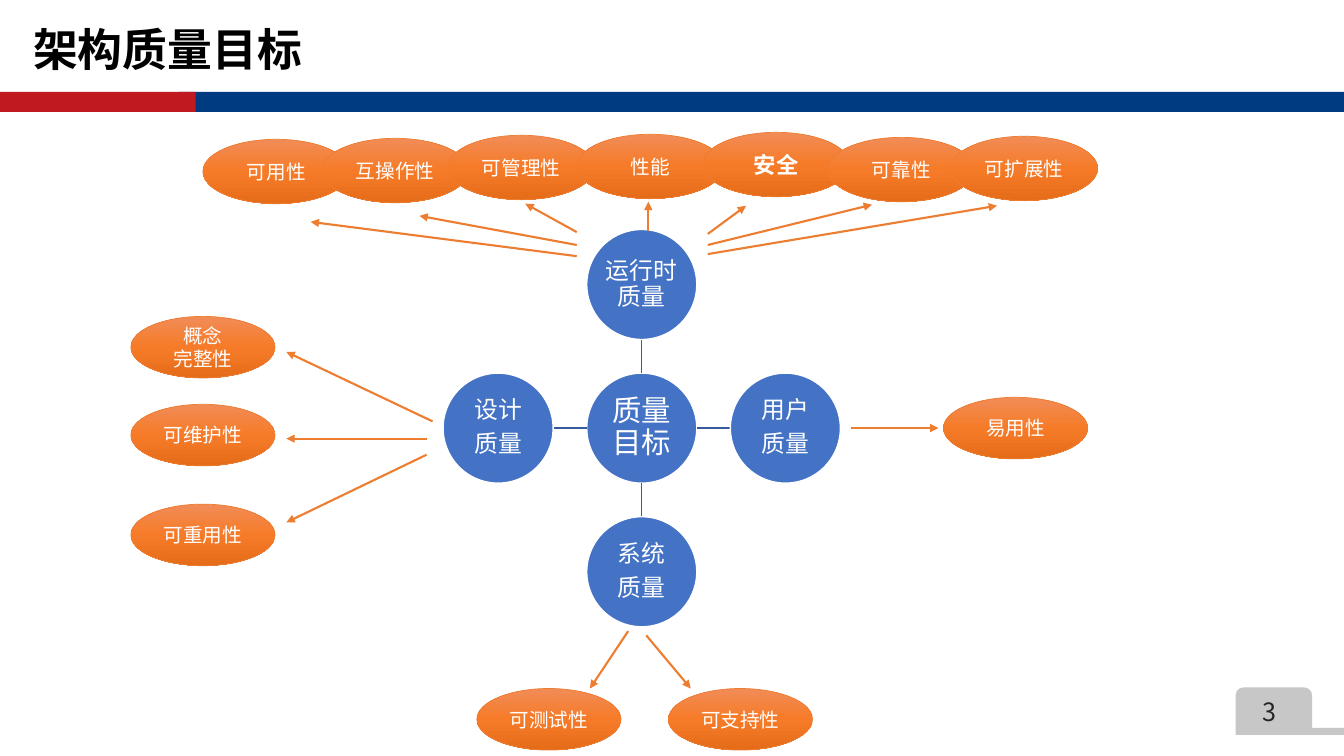
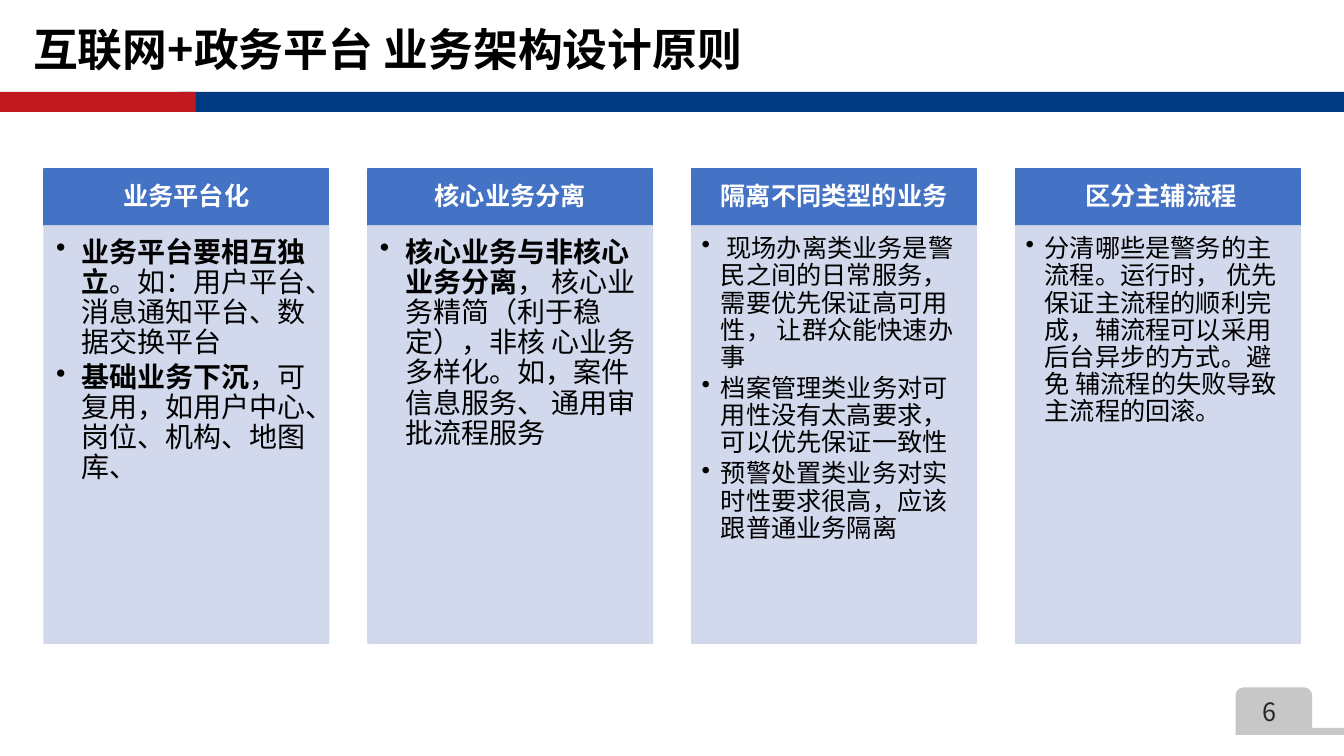
from copy import deepcopy

from pptx import Presentation
from pptx.dml.color import RGBColor
from pptx.enum.shapes import MSO_CONNECTOR, MSO_SHAPE
from pptx.enum.text import MSO_ANCHOR, PP_ALIGN
from pptx.oxml.ns import qn
from pptx.oxml.xmlchemy import OxmlElement
from pptx.util import Pt

RECT, ROUND, OVAL = MSO_SHAPE.RECTANGLE, MSO_SHAPE.ROUNDED_RECTANGLE, MSO_SHAPE.OVAL
STRAIGHT = MSO_CONNECTOR.STRAIGHT
LEFT, MID = PP_ALIGN.LEFT, PP_ALIGN.CENTER
TOP, CENTER = MSO_ANCHOR.TOP, MSO_ANCHOR.MIDDLE

FONT = "Noto Sans CJK SC"
WIDE, HIGH = 960, 540
WHITE, BLACK, DARK = "FFFFFF", "000000", "262626"
NAVY, RED, GREY = "003B82", "C0191F", "C7C7C7"
BLUE, STEEL, PALE, ORANGE = "4472C4", "365B9D", "CFD5EA", "ED7D31"
GLOW = ((0, "F18C57"), (0.5, "F67B28"), (1, "E56C19"))
INSET = (7.2, 3.6, 7.2, 3.6)

# Offsets from the centre of the map
DISC, STEP = 78.6, 102.6
HUBS = [
    ("质量目标", 0, 0, 21),
    ("运行时质量", 0, -1, 17),
    ("用户\n质量", 1, 0, 17),
    ("系统\n质量", 0, 1, 17),
    ("设计\n质量", -1, 0, 17),
]
SMALL, LARGE = (103, 44), (105, 46)
LEAVES = [
    ("可测试性", -66.3, 208, SMALL),
    ("可支持性", 70.5, 208, SMALL),
    ("概念\n完整性", -313.4, -57.8, SMALL),
    ("可维护性", -313.4, 5, SMALL),
    ("可重用性", -313.4, 76.3, SMALL),
    ("易用性", 267, 0, SMALL),
    ("可用性", -261, -183.3, LARGE),
    ("互操作性", -176.1, -184, LARGE),
    ("可管理性", -86.1, -186.2, LARGE),
    ("性能", 6.1, -186.9, LARGE),
    ("安全", 96.1, -188.3, LARGE),
    ("可靠性", 185.4, -184.7, LARGE),
    ("可扩展性", 273.2, -185.5, LARGE),
]
STRONG = "安全"
ARROWS = [
    (-149.4, -4.8, -253.8, -54.4),
    (-153.7, 7.5, -253.8, 7.5),
    (-153.7, 19, -253.8, 67.3),
    (-9.7, 145, -37, 186),
    (3.2, 148, 35, 186),
    (149.4, 0, 212, 0),
    (-46.4, -140, -83.2, -160.3),
    (-46.4, -130.8, -158.8, -151.6),
    (-46.4, -122.8, -236.5, -147.3),
    (47.2, -138.7, 74.5, -158.8),
    (47.2, -130.8, 164.5, -159.6),
    (47.2, -124.3, 253.8, -158.8),
    (4.7, -140.8, 4.7, -161.7),
]

# Heading, text size, indent, insets, paragraphs as (bold part, plain part)
LOOSE = (20, 18, (8.6, 8.6, 11.5, 12.2))
TIGHT = (18, 13.7, (7.2, 7.2, 10.1, 11.5))
RULES = [
    ("业务平台化", *LOOSE, [
        ("业务平台要相互独立", "。如：用户平台、消息通知平台、数据交换平台"),
        ("基础业务下沉", "，可复用，如用户中心、岗位、机构、地图库、")]),
    ("核心业务分离", *LOOSE, [
        ("核心业务与非核心业务分离",
         "， 核心业务精简（利于稳定），非核 心业务多样化。如，案件信息服务、 通用审批流程服务")]),
    ("隔离不同类型的业务", *TIGHT, [
        ("", " 现场办离类业务是警民之间的日常服务，需要优先保证高可用性， 让群众能快速办事"),
        ("", "档案管理类业务对可用性没有太高要求，可以优先保证一致性"),
        ("", "预警处置类业务对实时性要求很高，应该 跟普通业务隔离")]),
    (" 区分主辅流程", *TIGHT, [
        ("", "分清哪些是警务的主流程。运行时， 优先保证主流程的顺利完成，"
             "辅流程可以采用后台异步的方式。避免 辅流程的失败导致主流程的回滚。")]),
]


def rgb(code):
    return RGBColor.from_string(code)


def child(node, tag, **attrs):
    item = OxmlElement(tag)
    for key, value in attrs.items():
        item.set(key, value)
    node.append(item)
    return item


def write(shape, text, size=14, color=WHITE, bold=False, align=MID, anchor=CENTER,
          inset=INSET, space=None, after=0, indent=0):
    """Fill a shape with text: a string of lines or a list of (bold, plain) pairs."""
    frame = shape.text_frame
    frame.word_wrap = True
    frame.vertical_anchor = anchor
    (frame.margin_left, frame.margin_top,
     frame.margin_right, frame.margin_bottom) = map(Pt, inset)
    if isinstance(text, str):
        text = [(line, "") if bold else ("", line) for line in text.split("\n")]
    for i, pair in enumerate(text):
        para = frame.add_paragraph() if i else frame.paragraphs[0]
        para.alignment = align
        para.line_spacing = space
        para.space_after = Pt(after * size)
        if indent:
            props = para._p.get_or_add_pPr()
            props.set("marL", str(Pt(indent)))
            props.set("indent", str(-Pt(indent)))
            child(props, "a:buChar", char="•")
        for part, heavy in zip(pair, (True, False)):
            if part:
                run = para.add_run()
                run.text = part
                font = run.font
                font.size, font.bold, font.name = Pt(size), heavy, FONT
                font.color.rgb = rgb(color)
                props = run._r.get_or_add_rPr()
                props.set("lang", "zh-CN")
                child(props, "a:ea", typeface=FONT)


def label(slide, x, y, w, h, text, **style):
    box = slide.shapes.add_textbox(*map(Pt, (x, y, w, h)))
    write(box, text, anchor=TOP, **style)


def fade(props):
    """Make every plain colour below this node 90% opaque."""
    for color in props.iter(qn("a:srgbClr")):
        child(color, "a:alpha", val="90000")


def block(slide, kind, x, y, w, h, fill=None, line=None, width=1):
    shape = slide.shapes.add_shape(kind, *map(Pt, (x, y, w, h)))
    shape.shadow.inherit = False
    if fill:
        shape.fill.solid()
        shape.fill.fore_color.rgb = rgb(fill)
    if line:
        shape.line.color.rgb = rgb(line)
        shape.line.width = Pt(width)
    else:
        shape.line.fill.background()
    return shape


def link(slide, x1, y1, x2, y2, color, width, head=False):
    line = slide.shapes.add_connector(STRAIGHT, *map(Pt, (x1, y1, x2, y2)))
    line.line.color.rgb = rgb(color)
    line.line.width = Pt(width)
    if head:
        child(line.line._get_or_add_ln(), "a:tailEnd", type="triangle")
    child(line._element.spPr, "a:effectLst")


def leaf(slide, x, y, size, text):
    w, h = size
    oval = block(slide, OVAL, x - w / 2, y - h / 2, w, h, line=ORANGE, width=0.5)
    oval.fill.gradient()
    oval.fill.gradient_angle = 270
    stops = oval._element.spPr.find(qn("a:gradFill")).find(qn("a:gsLst"))
    stops.insert(1, deepcopy(stops[0]))
    for stop, (place, color) in zip(oval.fill.gradient_stops, GLOW):
        stop.position = place
        stop.color.rgb = rgb(color)
    strong = text == STRONG
    write(oval, text, size=16 if strong else 14, bold=strong)


def web(slide, x, y):
    """Draw the map of goals around the centre x, y."""
    for text, col, row, size in HUBS:
        cx, cy = x + col * STEP, y + row * STEP
        if col or row:
            near, far = DISC / 2, STEP - DISC / 2
            link(slide, x + col * near, y + row * near,
                 x + col * far, y + row * far, STEEL, 1)
        disc = block(slide, OVAL, cx - DISC / 2, cy - DISC / 2, DISC, DISC, BLUE, WHITE)
        write(disc, text, size=size, inset=(0.7,) * 4, space=0.9, after=0.35)
    for text, dx, dy, size in LEAVES:
        leaf(slide, x + dx, y + dy, size, text)
    for x1, y1, x2, y2 in ARROWS:
        link(slide, x + x1, y + y1, x + x2, y + y2, ORANGE, 1.5, head=True)


def card(slide, x, y, w, h, rule):
    title, size, indent, inset, text = rule
    top = 40.7
    head = block(slide, RECT, x, y, w, top, BLUE, BLUE)
    write(head, title, size=18, bold=True, inset=(10, 5.8, 10, 5.8), space=0.9, after=0.35)
    body = block(slide, RECT, x, y + top, w, h - top, PALE, PALE)
    fade(body._element.spPr)
    write(body, text, size=size, color=BLACK, align=LEFT, anchor=TOP,
          inset=inset, space=0.9, after=0.15, indent=indent)


def cards(slide, x, y, w, h):
    wide = 203.3
    step = (w - wide) / (len(RULES) - 1)
    for i, rule in enumerate(RULES):
        card(slide, x + i * step, y, wide, h, rule)


def page(deck, title, number):
    """Add a slide with the shared bands, title and page tab."""
    slide = deck.slides.add_slide(deck.slide_layouts[6])
    block(slide, RECT, 127.5, 65.7, WIDE - 127.5, 14.3, NAVY)
    block(slide, RECT, 0, 65.7, 139.8, 14.3, RED)
    block(slide, ROUND, 882.6, 491, 54.7, 34, GREY)
    block(slide, RECT, 882.6, 520, WIDE - 882.6, 5, GREY)
    label(slide, 882.6, 494, 52.6, 29, f"{number} ", size=18, color=DARK)
    label(slide, 16.6, 12.2, 767.5, 46, title, size=32, color=BLACK, bold=True, align=LEFT)
    return slide


def main():
    deck = Presentation()
    deck.slide_width, deck.slide_height = Pt(WIDE), Pt(HIGH)
    web(page(deck, "架构质量目标", 3), 458.4, 305.8)
    cards(page(deck, "互联网+政务平台 业务架构设计原则", 6), 31.5, 120.6, 897.3, 338.8)
    deck.save("out.pptx")


if __name__ == "__main__":
    main()
